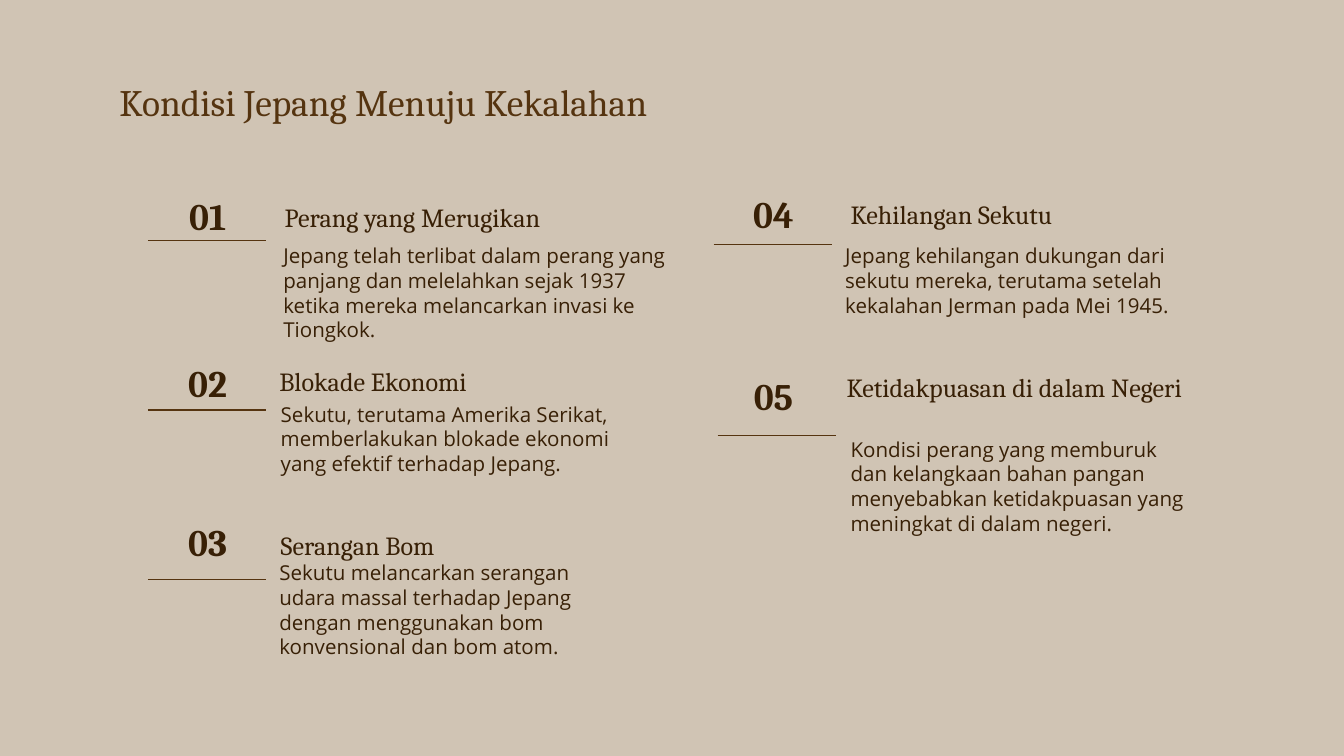
import pptx
import pptx.util
import pptx.dml.color
import pptx.enum.shapes
import pptx.enum.text
import pptx.oxml.ns
import lxml.etree

HUES = {"paper": "D0C4B4", "ink": "382006", "rust": "553410"}
SERIF, SANS = "Cambria", "Open Sans"
CELL = 0.1
ALIGN = pptx.enum.text.PP_ALIGN


def grid(count):
    return pptx.util.Inches(count * CELL)


def tint(name):
    return pptx.dml.color.RGBColor.from_string(HUES[name])


def add_text(slide, box, words, size, font=SERIF, hue="ink", bold=False,
             align=ALIGN.LEFT):
    frame = slide.shapes.add_textbox(*map(grid, box)).text_frame
    frame.word_wrap = True
    frame.vertical_anchor = pptx.enum.text.MSO_ANCHOR.TOP
    for side in ("left", "right", "top", "bottom"):
        setattr(frame, "margin_" + side, grid(1))
    para = frame.paragraphs[0]
    para.alignment = align
    run = para.add_run()
    run.text = words
    run.font.size = pptx.util.Pt(size)
    run.font.name = font
    run.font.bold = bold
    run.font.color.rgb = tint(hue)


def add_rule(slide, left, top, width):
    rule = slide.shapes.add_connector(
        pptx.enum.shapes.MSO_CONNECTOR.STRAIGHT,
        grid(left), grid(top), grid(left + width), grid(top))
    rule.line.color.rgb = tint("rust")
    rule.line.width = pptx.util.Pt(0.75)
    props = rule._element.spPr
    lxml.etree.SubElement(props, pptx.oxml.ns.qn("a:effectLst"))


def add_item(slide, box, label, rule, head, body):
    left, top, width, height = box
    add_text(slide, box, label, 20, bold=True, align=ALIGN.CENTER)
    add_rule(slide, left + rule[0], top + rule[1], 8.8)
    for part, size, font in ((head, 14, SERIF), (body, 11, SANS)):
        over, down, wide, tall, words = part
        add_text(slide, (left + over, top + down, wide, tall), words, size, font)


ITEMS = [
    ((9.7, 13.4, 11.5, 5.2), (1.3, 4.5),
     (10.5, 0.6, 32, 4.3, "Perang yang Merugikan"),
     (10.4, 3.7, 30.5, 9,
      "Jepang telah terlibat dalam perang yang panjang dan melelahkan "
      "sejak 1937 ketika mereka melancarkan invasi ke Tiongkok.")),
    ((9.7, 25.8, 11.5, 7.3), (1.3, 4.7),
     (10.1, 0.4, 27.1, 4.3, "Blokade Ekonomi"),
     (10.2, 3.1, 27.1, 8.7,
      "Sekutu, terutama Amerika Serikat, memberlakukan blokade ekonomi "
      "yang efektif terhadap Jepang.")),
    ((9.7, 37.6, 11.5, 7.3), (1.3, 5.5),
     (10.2, 0.8, 27.1, 4.3, "Serangan Bom"),
     (10.1, 3.1, 27.1, 11.5,
      "Sekutu melancarkan serangan udara massal terhadap Jepang "
      "dengan menggunakan bom konvensional dan bom atom.")),
    ((51.8, 13.2, 11.5, 7.3), (1.3, 5),
     (10.5, 0.6, 27.1, 4.3, "Kehilangan Sekutu"),
     (10.1, 3.9, 27.1, 8.2,
      "Jepang kehilangan dukungan dari sekutu mereka, terutama setelah "
      "kekalahan Jerman pada Mei 1945.")),
    ((51.8, 26.8, 11.5, 7.3), (1.6, 5.6),
     (10.2, -0.2, 30.9, 5.9, "Ketidakpuasan di dalam Negeri"),
     (10.5, 4.7, 27.1, 14.7,
      "Kondisi perang yang memburuk dan kelangkaan bahan pangan "
      "menyebabkan ketidakpuasan yang meningkat di dalam negeri.")),
]

deck = pptx.Presentation()
deck.slide_width, deck.slide_height = grid(100), grid(56.25)
slide = deck.slides.add_slide(deck.slide_layouts[6])
slide.background.fill.solid()
slide.background.fill.fore_color.rgb = tint("paper")
add_text(slide, (7.9, 4.9, 84.3, 6.3), "Kondisi Jepang Menuju Kekalahan", 20, hue="rust")
for number, (box, rule, head, body) in enumerate(ITEMS, 1):
    add_item(slide, box, f"{number:02}", rule, head, body)
deck.save("out.pptx")
